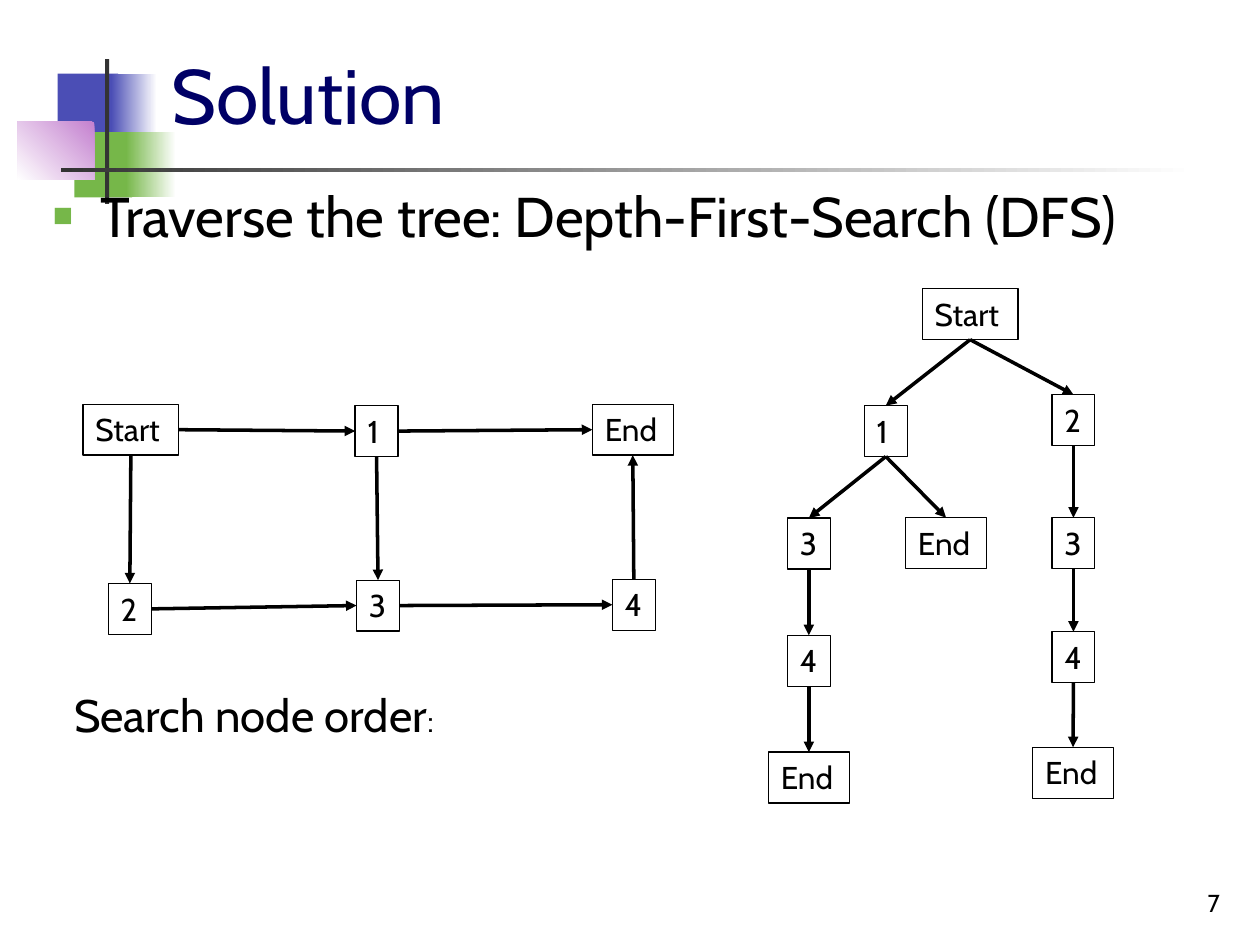
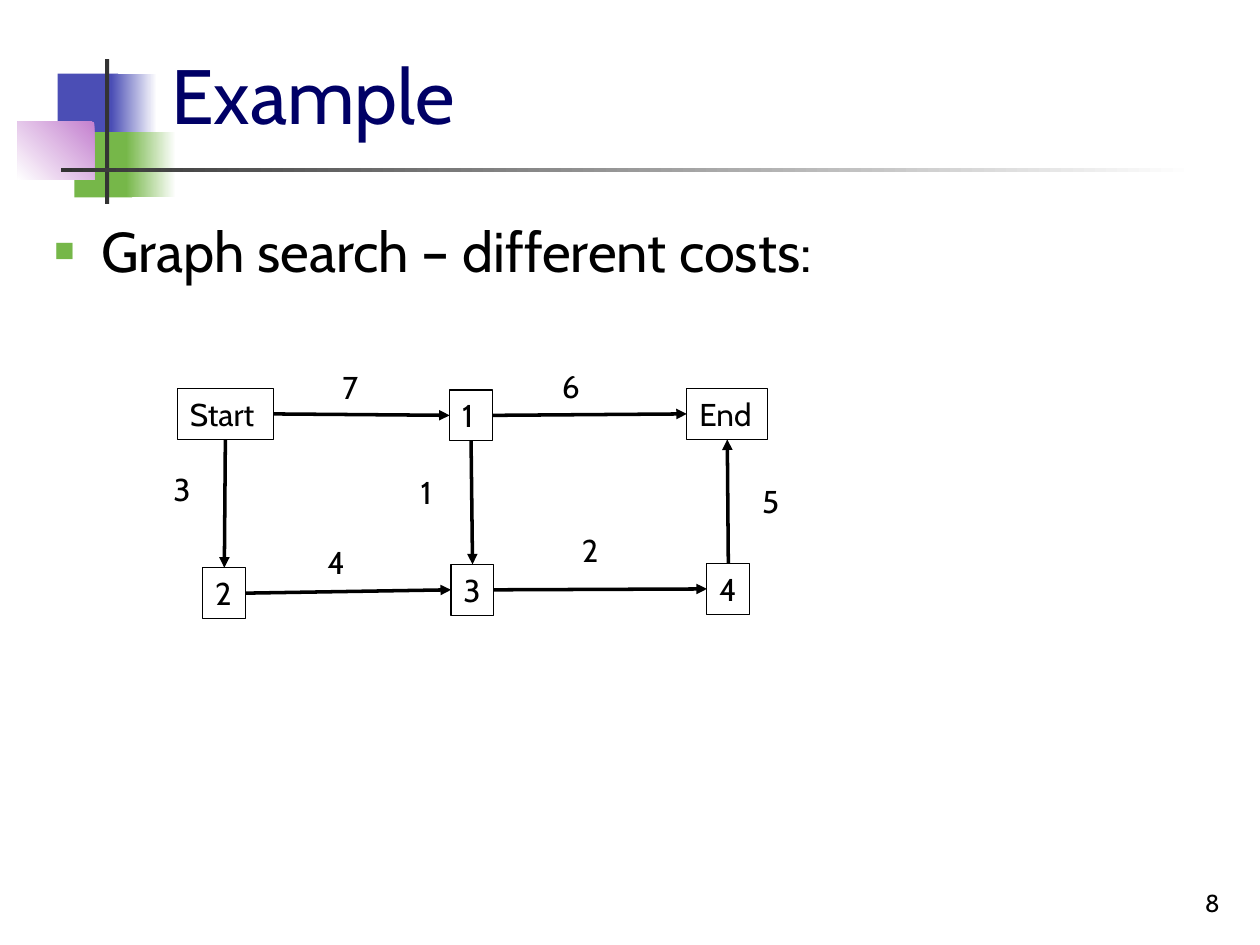
from lxml import etree
from pptx import Presentation
from pptx.dml.color import RGBColor
from pptx.enum import shapes, text
from pptx.oxml.ns import qn
from pptx.util import Pt

FONT = "Cabin"
INK, NAVY, GREY, WHITE = "000000", "000066", "333333", "FFFFFF"
BLUE, GREEN, PINK = "4B4EB5", "76B749", "C481CF"
TOP, LEFT, BASE, RIGHT = range(4)
WIDTHS = {"Start": 54.7, "End": 46.2}
DIGIT, HIGH = 24.5, 29.1

# Bands: left, top, width, height, colours, clockwise gradient angle
BANDS = [
    (33, 42, 34.5, 37.4, [BLUE], 0),
    (63.5, 42, 26, 37.4, [WHITE, BLUE], 180),
    (42.5, 75.5, 33, 37.4, [GREEN], 0),
    (72, 75.5, 28.5, 37.4, [WHITE, GREEN], 180),
    (10, 69.5, 44, 33.4, [PINK, WHITE], 135),
    (60, 33.8, 2.4, 82.8, [GREY], 0),
    (34.8, 96, 648, 2.4, [WHITE, GREY], 180),
]

# Nodes: key -> text, centre x, top
GRAPH = {
    "start": ("Start", 74.8, 231), "1": ("1", 215.2, 231.8),
    "end": ("End", 361.6, 231), "2": ("2", 74.2, 333.4),
    "3": ("3", 216, 331.5), "4": ("4", 362.2, 331),
}
LINKS = [
    ("start", RIGHT, "1", LEFT), ("1", RIGHT, "end", LEFT),
    ("2", RIGHT, "3", LEFT), ("3", RIGHT, "4", LEFT),
    ("start", BASE, "2", TOP), ("1", BASE, "3", TOP),
    ("4", TOP, "end", BASE),
]
TREE = {
    "start": ("Start", 554.4, 165), "1": ("1", 506.2, 231.8),
    "2": ("2", 613.4, 225.5), "3 left": ("3", 462.2, 296),
    "end mid": ("End", 540.6, 295.8), "3 right": ("3", 613.4, 295.8),
    "4 left": ("4", 462.2, 363), "4 right": ("4", 613.4, 361),
    "end left": ("End", 462.2, 429.8), "end right": ("End", 613.2, 427),
}
PATHS = [
    ("start", "1", "3 left", "4 left", "end left"),
    ("1", "end mid"),
    ("start", "2", "3 right", "4 right", "end right"),
]
# Edge costs: text, left, top
COSTS = [
    ("6", 314, 206), ("7", 188.6, 206.5), ("4", 180, 306.5),
    ("3", 92, 265), ("2", 325.4, 300), ("1", 233.3, 266.5),
    ("5", 428.4, 272),
]


def paint(code):
    return RGBColor.from_string(code)


def write(para, words, size, color=INK):
    run = para.add_run()
    run.text = words
    run.font.name, run.font.size = FONT, Pt(size)
    run.font.color.rgb = paint(color)


def frame(shape, anchor=text.MSO_ANCHOR.TOP, wrap=True):
    """Set up the text frame and return its first paragraph."""
    body = shape.text_frame
    body.word_wrap, body.vertical_anchor = wrap, anchor
    body.auto_size = text.MSO_AUTO_SIZE.NONE
    para = body.paragraphs[0]
    para.alignment = text.PP_ALIGN.LEFT
    para.space_before = Pt(0)
    return para


def place(shape, *box):
    shape.left, shape.top, shape.width, shape.height = map(Pt, box)


def add_rect(slide, *box):
    rect = slide.shapes.add_shape(shapes.MSO_SHAPE.RECTANGLE, *map(Pt, box))
    rect.shadow.inherit = False
    return rect


def add_band(slide, left, top, width, height, colors, angle):
    band = add_rect(slide, left, top, width, height)
    band.line.fill.background()
    if len(colors) == 1:
        band.fill.solid()
        band.fill.fore_color.rgb = paint(colors[0])
    else:
        band.fill.gradient()
        band.fill.gradient_angle = 360 - angle
        for spot, (stop, code) in enumerate(zip(band.fill.gradient_stops, colors)):
            stop.position = spot
            stop.color.rgb = paint(code)
    return band


def share_bands(slide):
    """Put the bands on the layout, so that every slide shows them."""
    tree = slide.slide_layout.shapes.element
    for spec in BANDS:
        tree.append(add_band(slide, *spec).element)


def add_label(slide, box, runs, wrap=True):
    label = slide.shapes.add_textbox(*map(Pt, box))
    para = frame(label, wrap=wrap)
    for words, size in runs:
        write(para, words, size)
    return label


def add_node(slide, words, mid, top):
    wide = WIDTHS.get(words, DIGIT)
    node = add_rect(slide, mid - wide / 2, top, wide, HIGH)
    node.fill.background()
    node.line.color.rgb = paint(INK)
    node.line.width = Pt(0)
    body = node.text_frame
    write(frame(node, wrap=False), words, 18)
    body.margin_left = body.margin_right = Pt(7.2)
    return node


def add_arrow(slide, start, out, end, into):
    line = slide.shapes.add_connector(shapes.MSO_CONNECTOR.STRAIGHT, 0, 0, 0, 0)
    line.begin_connect(start, out)
    line.end_connect(end, into)
    line.line.color.rgb = paint(INK)
    line.line.width = Pt(2)
    etree.SubElement(line.line._get_or_add_ln(), qn("a:tailEnd"), type="triangle")
    etree.SubElement(line.element.spPr, qn("a:effectLst"))


def add_net(slide, nodes, links, right=0, down=0):
    made = {key: add_node(slide, words, mid + right, top + down)
            for key, (words, mid, top) in nodes.items()}
    for start, out, end, into in links:
        add_arrow(slide, made[start], out, made[end], into)


def add_bullet(para):
    props = para._p.get_or_add_pPr()
    props.set("marL", str(Pt(27)))
    props.set("indent", str(-Pt(27)))
    tint = etree.SubElement(props, qn("a:buClr"))
    etree.SubElement(tint, qn("a:srgbClr"), val=GREEN)
    etree.SubElement(props, qn("a:buSzPct"), val="60000")
    etree.SubElement(props, qn("a:buChar"), char="■")


def add_page(deck, title, point, box, number):
    slide = deck.slides.add_slide(deck.slide_layouts[1])
    head, body = slide.placeholders
    place(head, 90.7, 16.5, 613.4, 67)
    write(frame(head, text.MSO_ANCHOR.BOTTOM), title, 44, NAVY)
    place(body, *box)
    para = frame(body)
    add_bullet(para)
    write(para, point, 32)
    # Page number
    foot = add_label(slide, (554.4, 491.8, 149.8, 36), [(number, 14)])
    foot.text_frame.vertical_anchor = text.MSO_ANCHOR.BOTTOM
    foot.text_frame.paragraphs[0].alignment = text.PP_ALIGN.RIGHT
    return slide


def main():
    deck = Presentation()
    deck.slide_width, deck.slide_height = Pt(720), Pt(540)

    # Graph and its search tree
    slide = add_page(deck, "Solution", "Traverse the tree: Depth-First-Search (DFS)",
                     (23, 100, 681, 52.5), "7")
    share_bands(slide)
    add_net(slide, GRAPH, LINKS)
    add_label(slide, (35.3, 388.8, 381.6, 60.5), [("Search node order", 26), (":", 18)])
    steps = [(start, BASE, end, TOP) for path in PATHS
             for start, end in zip(path, path[1:])]
    add_net(slide, TREE, steps)

    # The same graph with costs
    slide = add_page(deck, "Example", "Graph search – different costs:",
                     (23.8, 120.2, 681, 65.5), "8")
    add_net(slide, GRAPH, LINKS, right=54, down=-9)
    for cost, left, top in COSTS:
        add_label(slide, (left, top, DIGIT, HIGH), [(cost, 18)], wrap=False)

    deck.save("out.pptx")


if __name__ == "__main__":
    main()
